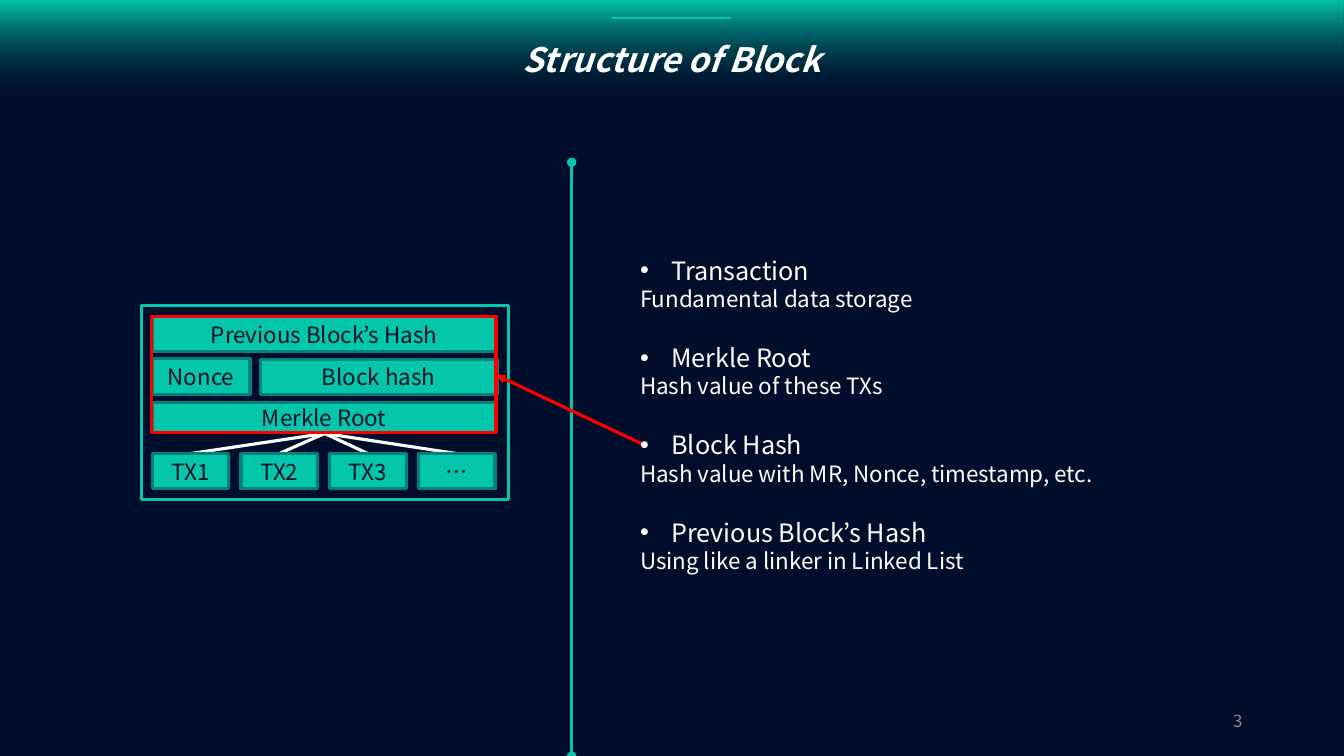
from dataclasses import dataclass

from lxml import etree
from pptx import Presentation
from pptx import util as u
from pptx.dml.color import RGBColor
from pptx.enum import shapes, text
from pptx.oxml.ns import qn

PX = 9144  # EMU per px, 100 px to the inch
FONT = "Noto Sans CJK KR"
NAVY = RGBColor(0x00, 0x0E, 0x2B)
TEAL = RGBColor(0x03, 0xC6, 0xAB)
DARK_TEAL = RGBColor(0x02, 0x82, 0x7B)
WHITE = RGBColor(0xFF, 0xFF, 0xFF)
GRAY = RGBColor(0x8C, 0x8C, 0x8C)
RED = RGBColor(0xFF, 0x00, 0x00)
STROKE = 2.25
BULLET_INDENT = 31
TOPIC_GAP = 21.6

LEFT, CENTER, RIGHT = text.PP_ALIGN.LEFT, text.PP_ALIGN.CENTER, text.PP_ALIGN.RIGHT


@dataclass(frozen=True)
class Box:
    left: int
    top: int
    width: int
    height: int

    def emu(self) -> list[int]:
        return [v * PX for v in (self.left, self.top, self.width, self.height)]


@dataclass(frozen=True)
class Cell:
    label: str
    box: Box


@dataclass(frozen=True)
class Topic:
    name: str
    meaning: str


HEADER = Box(0, 0, 1333, 117)
FRAME = Box(140, 303, 364, 193)
HASHED_PART = Box(150, 314, 342, 115)
MERKLE_FOOT = (322, 430)
TX_LEFT, TX_TOP, TX_WIDTH, TX_PITCH = 151, 450, 76, 88

TRANSACTIONS = [
    Cell(label, Box(TX_LEFT + i * TX_PITCH, TX_TOP, TX_WIDTH, 35))
    for i, label in enumerate(["TX1", "TX2", "TX3", "…"])
]
FIELDS = [
    Cell("Previous Block’s Hash", Box(151, 314, 341, 35)),
    Cell("Nonce", Box(151, 356, 97, 35)),
    Cell("Block hash", Box(258, 357, 235, 34)),
    Cell("Merkle Root", Box(151, 399, 341, 30)),
]
TOPICS = [
    Topic("Transaction", "Fundamental data storage"),
    Topic("Merkle Root", "Hash value of these TXs"),
    Topic("Block Hash", "Hash value with MR, Nonce, timestamp, etc."),
    Topic("Previous Block’s Hash", "Using like a linker in Linked List"),
]


def add_rect(parent, box: Box, fill: RGBColor | None = None, line: RGBColor | None = None):
    rect = parent.add_shape(shapes.MSO_SHAPE.RECTANGLE, *box.emu())
    rect.shadow.inherit = False
    if fill is None:
        rect.fill.background()
    else:
        rect.fill.solid()
        rect.fill.fore_color.rgb = fill
    if line is None:
        rect.line.fill.background()
    else:
        rect.line.color.rgb = line
        rect.line.width = u.Pt(STROKE)
    return rect


def add_line(parent, start: tuple[int, int], end: tuple[int, int], color: RGBColor,
             width: float = STROKE, head: str = "", tail: str = "") -> None:
    ends = [v * PX for v in (*start, *end)]
    line = parent.add_connector(shapes.MSO_CONNECTOR.STRAIGHT, *ends)
    line.line.color.rgb = color
    line.line.width = u.Pt(width)
    properties = line.element.spPr
    stroke = properties.find(qn("a:ln"))
    for tag, kind in (("a:headEnd", head), ("a:tailEnd", tail)):
        if kind:
            etree.SubElement(stroke, qn(tag), type=kind)
    etree.SubElement(properties, qn("a:effectLst"))


def add_span(para, words: str, size: int, color: RGBColor, strong: bool = False) -> None:
    """Add one run; strong makes it bold and italic."""
    span = para.add_run()
    span.text = words
    font = span.font
    font.name, font.size, font.color.rgb = FONT, u.Pt(size), color
    if strong:
        font.bold = font.italic = True
    etree.SubElement(span._r.get_or_add_rPr(), qn("a:ea"), typeface=FONT)


def write_line(shape, words: str, size: int, color: RGBColor, align=CENTER,
               strong: bool = False) -> None:
    """Fill a shape with a single, vertically centred line."""
    frame = shape.text_frame
    frame.word_wrap = True
    frame.vertical_anchor = text.MSO_ANCHOR.MIDDLE
    para = frame.paragraphs[0]
    para.alignment = align
    add_span(para, words, size, color, strong)


def add_header(page) -> None:
    header = add_rect(page.shapes, HEADER)
    header.fill.gradient()
    header.fill.gradient_angle = 90
    stops = header.fill.gradient_stops
    for stop, position, color in zip(stops, (0.1, 1), (NAVY, TEAL)):
        stop.position = position
        stop.color.rgb = color
    clear_color = next(header.element.spPr.iter(qn("a:srgbClr")))
    etree.SubElement(clear_color, qn("a:alpha"), val="0")
    write_line(header, "Structure of Block", 24, WHITE, strong=True)
    add_line(page.shapes, (607, 18), (725, 18), TEAL, width=1)


def add_block(page) -> None:
    add_rect(page.shapes, FRAME, NAVY, TEAL)
    for cell in TRANSACTIONS:
        middle = cell.box.left + cell.box.width // 2
        add_line(page.shapes, (middle, TX_TOP), MERKLE_FOOT, WHITE)
    for cell in FIELDS + TRANSACTIONS:
        rect = add_rect(page.shapes, cell.box, TEAL, DARK_TEAL)
        write_line(rect, cell.label, 16, NAVY)


def add_hash_callout(page) -> None:
    callout = page.shapes.add_group_shape().shapes
    add_rect(callout, HASHED_PART, line=RED)
    add_line(callout, (638, 441), (492, 372), RED, tail="triangle")


def add_topics(page) -> None:
    frame = page.shapes.add_textbox(*Box(625, 248, 472, 330).emu()).text_frame
    frame.word_wrap = False
    frame.auto_size = text.MSO_AUTO_SIZE.SHAPE_TO_FIT_TEXT
    for i, topic in enumerate(TOPICS):
        para = frame.add_paragraph() if i else frame.paragraphs[0]
        para.alignment = LEFT
        para.space_before = u.Pt(TOPIC_GAP if i else 0)
        layout = para._p.get_or_add_pPr()
        layout.set("marL", str(BULLET_INDENT * PX))
        layout.set("indent", str(-BULLET_INDENT * PX))
        etree.SubElement(layout, qn("a:buFont"), typeface="Arial")
        etree.SubElement(layout, qn("a:buChar"), char="•")
        add_span(para, topic.name, 18, WHITE)
        para = frame.add_paragraph()
        para.alignment = LEFT
        add_span(para, topic.meaning, 16, WHITE)


def main() -> None:
    deck = Presentation()
    deck.slide_width, deck.slide_height = 1333 * PX, 750 * PX
    page = deck.slides.add_slide(deck.slide_layouts[6])
    page.background.fill.solid()
    page.background.fill.fore_color.rgb = NAVY

    add_header(page)
    number = page.shapes.add_textbox(*Box(942, 695, 300, 40).emu())
    write_line(number, "3", 12, GRAY, RIGHT)
    add_block(page)
    add_line(page.shapes, (567, 750), (567, 161), TEAL, head="oval", tail="oval")
    add_hash_callout(page)
    add_topics(page)
    deck.save("out.pptx")


if __name__ == "__main__":
    main()
